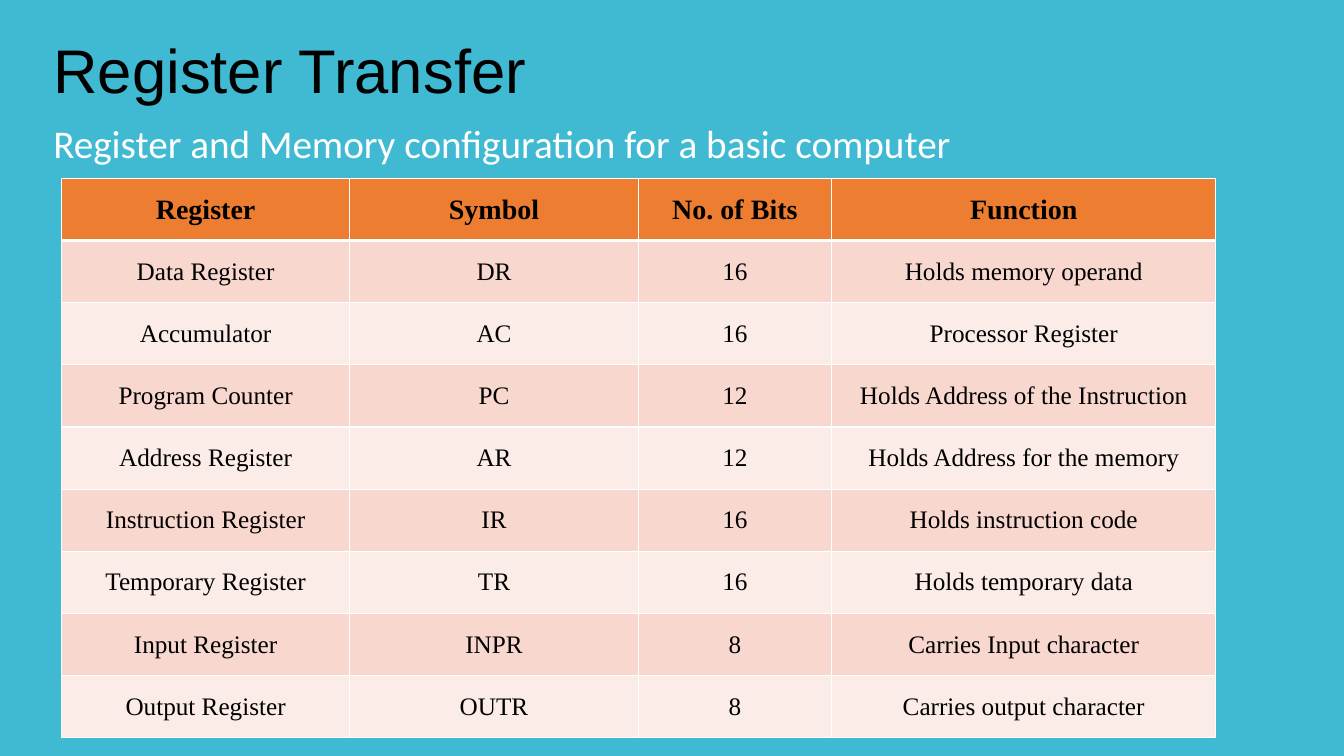
from lxml.etree import SubElement
from pptx import Presentation
from pptx.dml.color import RGBColor
from pptx.enum.text import MSO_ANCHOR, PP_ALIGN
from pptx.oxml.ns import qn
from pptx.util import Inches, Pt

TITLE = "Register Transfer"
SUBTITLE = "Register and Memory configuration for a basic computer"
ROWS = [
    ("Register", "Symbol", "No. of Bits", "Function"),
    ("Data Register", "DR", "16", "Holds memory operand"),
    ("Accumulator", "AC", "16", "Processor Register"),
    ("Program Counter", "PC", "12", "Holds Address of the Instruction"),
    ("Address Register", "AR", "12", "Holds Address for the memory"),
    ("Instruction Register", "IR", "16", "Holds instruction code"),
    ("Temporary Register", "TR", "16", "Holds temporary data"),
    ("Input Register", "INPR", "8", "Carries Input character"),
    ("Output Register", "OUTR", "8", "Carries output character"),
]
COL_WIDTHS = [2.86, 2.86, 1.92, 3.81]
TABLE_HEIGHT = 5.55

BACKGROUND = RGBColor(0x40, 0xBA, 0xD2)
BLACK = RGBColor(0, 0, 0)
WHITE = RGBColor(0xFF, 0xFF, 0xFF)
ORANGE = RGBColor(0xED, 0x7D, 0x31)
BANDS = [RGBColor(0xFC, 0xEC, 0xE8), RGBColor(0xF8, 0xD7, 0xCE)]

TITLE_FONT = {"name": "Arial", "size": Pt(44), "bold": False}
SUBTITLE_FONT = {"name": "Calibri", "size": Pt(28)}
HEADER_FONT = {"name": "Times New Roman", "size": Pt(20), "bold": True}
BODY_FONT = {"name": "Times New Roman", "size": Pt(18), "bold": False}


def write(tf, text, font, color, **para):
    p = tf.paragraphs[0]
    for key, value in para.items():
        setattr(p, key, value)
    r = p.add_run()
    r.text = text
    for key, value in font.items():
        setattr(r.font, key, value)
    r.font.color.rgb = color


def set_borders(cell, widths):
    tcPr = cell._tc.get_or_add_tcPr()
    for side, width in widths.items():
        ln = SubElement(tcPr, qn(f"a:ln{side}"), w=str(Pt(width)))
        fill = SubElement(ln, qn("a:solidFill"))
        SubElement(fill, qn("a:srgbClr"), val=str(WHITE))


prs = Presentation()
prs.slide_width, prs.slide_height = Inches(13.33), Inches(7.5)
s = prs.slides.add_slide(prs.slide_layouts[5])
s.background.fill.solid()
s.background.fill.fore_color.rgb = BACKGROUND

title = s.shapes.title
title.left, title.top = Inches(0.43), Inches(0)
title.width, title.height = Inches(11.5), Inches(1.45)
title.text_frame.vertical_anchor = MSO_ANCHOR.MIDDLE
write(title.text_frame, TITLE, TITLE_FONT, BLACK,
      alignment=PP_ALIGN.LEFT, line_spacing=0.9)

sub = s.shapes.add_textbox(Inches(0.43), Inches(1.13), Inches(12.29), Inches(0.63))
sub.text_frame.word_wrap = True
write(sub.text_frame, SUBTITLE, SUBTITLE_FONT, WHITE,
      alignment=PP_ALIGN.JUSTIFY, space_before=Pt(10))

table = s.shapes.add_table(len(ROWS), len(COL_WIDTHS), Inches(0.61), Inches(1.77),
                           Inches(sum(COL_WIDTHS)), Inches(TABLE_HEIGHT)).table
for col, width in zip(table.columns, COL_WIDTHS):
    col.width = Inches(width)

for i, row in enumerate(ROWS):
    table.rows[i].height = Inches(TABLE_HEIGHT / len(ROWS))
    for j, text in enumerate(row):
        cell = table.cell(i, j)
        cell.vertical_anchor = MSO_ANCHOR.MIDDLE
        write(cell.text_frame, text, BODY_FONT if i else HEADER_FONT, BLACK,
              alignment=PP_ALIGN.CENTER)
        set_borders(cell, {"L": 1, "R": 1, "T": 3 if i == 1 else 1, "B": 1 if i else 3})
        cell.fill.solid()
        cell.fill.fore_color.rgb = BANDS[i % 2] if i else ORANGE

prs.save("out.pptx")
